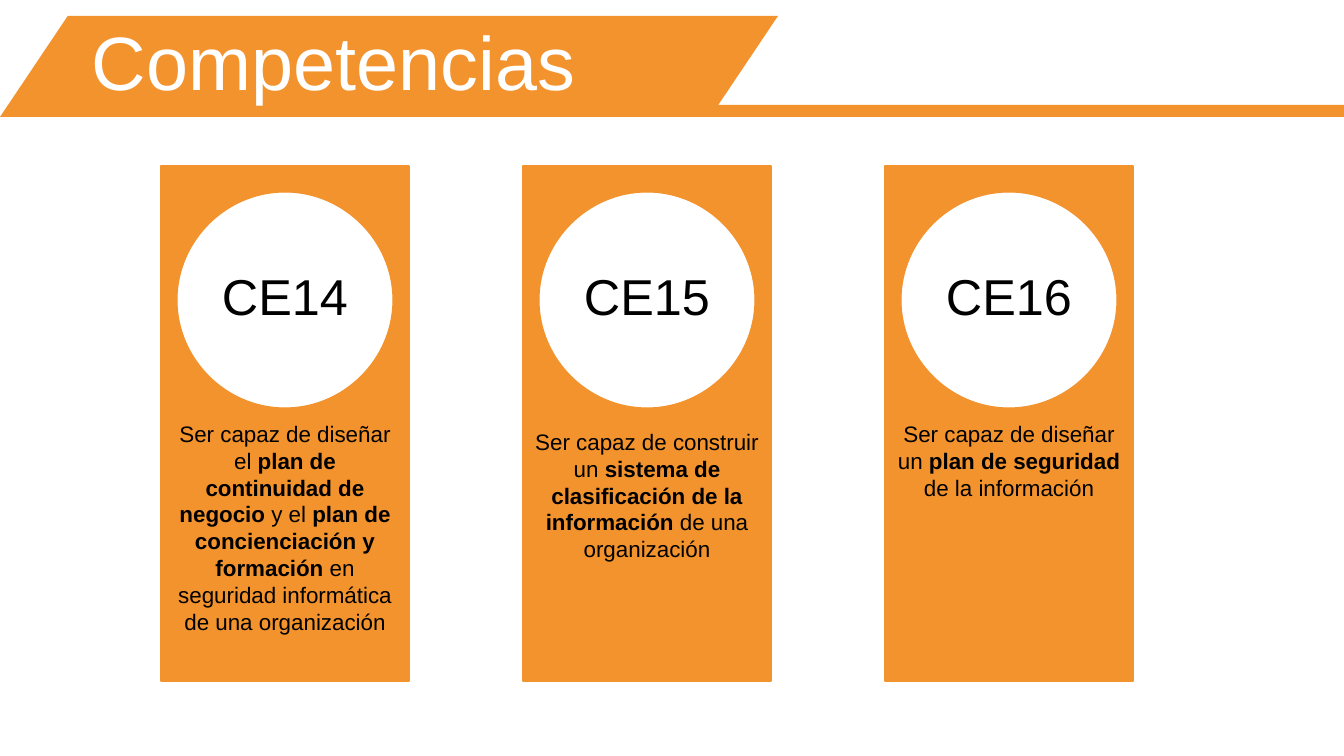
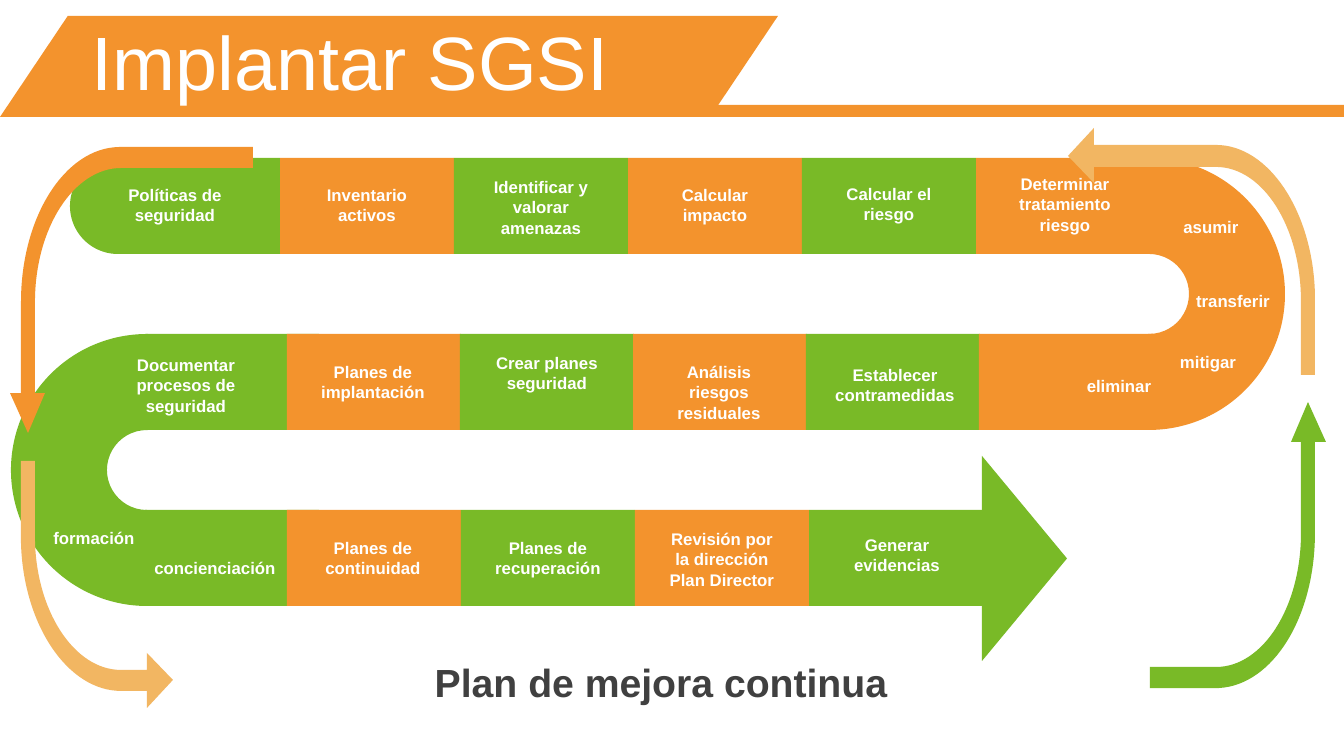
from itertools import cycle

from lxml.etree import SubElement
from pptx import Presentation
from pptx.dml.color import RGBColor
from pptx.enum.shapes import MSO_SHAPE
from pptx.enum.text import MSO_ANCHOR, PP_ALIGN
from pptx.oxml.ns import qn
from pptx.util import Emu, Pt

EMU_PER_PX = 914400 / 100.8
ORANGE, GREEN, SAND = "F3932D", "79BA27", "F2B662"
WHITE, BLACK, DARK = "FFFFFF", "000000", "404040"


def px(length):
    """Turn px into EMU."""
    return Emu(round(length * EMU_PER_PX))


def color(code):
    """Turn a hex string into a colour."""
    return RGBColor.from_string(code)


def apply(target, values):
    """Set every attribute named in a dict."""
    for name, value in values.items():
        setattr(target, name, value)


def circle(x, y, radius):
    """Return a circle as a start point and four curves."""
    pull = round(radius * 0.55)
    left, top, right, bottom = x - radius, y - radius, x + radius, y + radius
    return [(x, top),
            (x - pull, top, left, y - pull, left, y),
            (left, y + pull, x - pull, bottom, x, bottom),
            (x + pull, bottom, right, y + pull, right, y),
            (right, y - pull, x + pull, top, x, top)]


def bend_lines(shape, contours):
    """Join the three segments of each six-number step into one Bezier curve."""
    segments = iter(list(shape.element.iter(qn("a:lnTo"))))
    for contour in contours:
        for step in contour[1:]:
            segment = next(segments)
            if len(step) == 6:
                curve = SubElement(segment.getparent(), qn("a:cubicBezTo"))
                segment.addprevious(curve)
                for control in (segment, next(segments), next(segments)):
                    curve.append(control[0])
                    control.getparent().remove(control)


class Deck:
    """Hold the shared style and the current slide."""

    def __init__(self):
        """Start an empty widescreen presentation."""
        self.presentation = Presentation()
        apply(self.presentation, {"slide_width": px(1344), "slide_height": px(756)})
        self.slide = None

    def add_slide(self, title):
        """Add a slide with the title band."""
        self.slide = self.presentation.slides.add_slide(self.presentation.slide_layouts[6])
        self.shape(MSO_SHAPE.RECTANGLE, 672, 105, 672, 12, ORANGE)
        self.shape(MSO_SHAPE.PARALLELOGRAM, 0, 16, 778, 101, ORANGE, adjustments=[0.671])
        self.text(title, 82, 14, 1234, 92, 54, WHITE, align=PP_ALIGN.LEFT, anchor=MSO_ANCHOR.MIDDLE)

    def paint(self, shape, fill, outlined=False):
        """Give a shape its flat fill and hairline or no line."""
        shape.shadow.inherit = False
        shape.fill.solid()
        shape.fill.fore_color.rgb = color(fill)
        if outlined:
            shape.line.color.rgb = color(fill)
            shape.line.width = Pt(0)
        else:
            shape.line.fill.background()

    def shape(self, kind, left, top, width, height, fill, rotation=0, adjustments=()):
        """Add a preset shape."""
        shape = self.slide.shapes.add_shape(kind, px(left), px(top), px(width), px(height))
        shape.rotation = rotation
        for index, value in enumerate(adjustments):
            shape.adjustments[index] = value
        self.paint(shape, fill)

    def outline(self, contours, fill, outlined=False):
        """Add a freeform made of closed contours of lines and curves."""
        builder = None
        for contour in contours:
            start, *rest = [(px(step[index]), px(step[index + 1]))
                            for step in contour for index in range(0, len(step), 2)]
            if builder is None:
                builder = self.slide.shapes.build_freeform(*start, scale=1.0)
            else:
                builder.move_to(*start)
            builder.add_line_segments(rest, close=True)
        shape = builder.convert_to_shape()
        bend_lines(shape, contours)
        self.paint(shape, fill, outlined)

    def text(self, content, left, top, width, height, size, ink, bold=False,
             align=PP_ALIGN.CENTER, anchor=MSO_ANCHOR.TOP):
        """Add a text box in which ** switches bold on and off."""
        box = self.slide.shapes.add_textbox(px(left), px(top), px(width), px(height))
        frame = box.text_frame
        apply(frame, {"word_wrap": True, "vertical_anchor": anchor})
        if anchor == MSO_ANCHOR.MIDDLE:
            apply(frame, {"margin_top": 0, "margin_bottom": 0})
        for index, line in enumerate(content.split("\n")):
            paragraph = frame.add_paragraph() if index else frame.paragraphs[0]
            apply(paragraph, {"alignment": align, "line_spacing": Pt(size * 1.2)})
            for part, words in enumerate(line.split("**")):
                if words:
                    run = paragraph.add_run()
                    run.text = words
                    apply(run.font, {"name": "Arial", "size": Pt(size), "bold": bold or part % 2 == 1})
                    run.font.color.rgb = color(ink)

    def label(self, content, left, top, width=132):
        """Add a step label."""
        self.text(content, left, top, width, 50, 12, WHITE, bold=True)

    def card(self, left, code, description, top, height):
        """Add a competence card with a round window."""
        frame = [(left, 166), (left + 248, 166), (left + 248, 681), (left, 681)]
        self.outline([circle(left + 124, 300, 108), frame], ORANGE, outlined=True)
        self.text(code, left, 260, 248, 61, 36, BLACK)
        self.text(description, left, top, 248, height, 16, BLACK)

    def row(self, left, top, step, count):
        """Add a row of steps in alternating colours."""
        for index, fill in zip(range(count), cycle((ORANGE, GREEN))):
            self.shape(MSO_SHAPE.RECTANGLE, left + step * index, top, 174, 96, fill)


CARDS = [
    ("CE14", "Ser capaz de diseñar el **plan de continuidad de negocio **y el "
             "**plan de concienciación y formación** en seguridad informática de una organización", 415, 228),
    ("CE15", "Ser capaz de construir un **sistema de clasificación de la información **de una organización",
     423, 146),
    ("CE16", "Ser capaz de diseñar un **plan de seguridad **de la información", 415, 92),
]

ROWS = [(280, 158, 174, 5), (287, 334, 173, 5), (287, 510, 174, 4)]

LABELS = [
    ("Políticas de seguridad", 109, 180),
    ("Inventario activos", 301, 180),
    ("Identificar y valorar amenazas", 475, 172),
    ("Calcular impacto", 649, 180),
    ("Calcular el riesgo", 823, 179),
    ("Determinar tratamiento riesgo", 999, 169),
    ("asumir", 1145, 212),
    ("transferir", 1167, 286),
    ("mitigar", 1142, 347),
    ("eliminar", 1053, 371),
    ("Establecer contramedidas", 822, 360, 146),
    ("Análisis riesgos residuales", 653, 357),
    ("Crear planes seguridad", 481, 348),
    ("Planes de implantación", 307, 357),
    ("Documentar procesos de seguridad", 120, 350),
    ("formación", 28, 523),
    ("concienciación", 143, 553, 144),
    ("Planes de continuidad", 307, 533),
    ("Planes de recuperación", 482, 533),
    ("Generar evidencias", 831, 530),
    ("Revisión por la dirección\nPlan Director", 656, 524),
]

ARROWS = [
    (GREEN, [(1308, 402), (1326, 442), (1315, 442), (1315, 533), (1315, 617, 1273, 685, 1219, 688),
             (1150, 688), (1150, 667), (1216, 667), (1263, 667, 1301, 607, 1301, 533),
             (1301, 442), (1291, 442)]),
    (ORANGE, [(119, 147), (253, 147), (253, 168), (121, 168), (74, 168, 35, 228, 35, 302), (35, 393),
              (45, 393), (28, 433), (10, 393), (21, 393), (21, 302), (21, 217, 65, 148, 119, 147)]),
    (SAND, [(1094, 128), (1094, 145), (1216, 145), (1269, 145, 1313, 212, 1315, 294), (1315, 375),
            (1301, 375), (1301, 301), (1301, 227, 1263, 167, 1216, 167), (1094, 167), (1094, 183),
            (1068, 156)]),
    (SAND, [(21, 461), (35, 461), (35, 536), (35, 610, 74, 670, 121, 670), (147, 670), (147, 653),
            (173, 680), (147, 708), (147, 691), (121, 691), (68, 691, 23, 625, 21, 542)]),
]


def main():
    """Build both slides and save them."""
    deck = Deck()
    deck.add_slide("Competencias")
    for index, card in enumerate(CARDS):
        deck.card(161 + 362 * index, *card)

    deck.add_slide("Implantar SGSI")
    bend = [108, 0.677, 0.353]
    for top in (334, 510):
        deck.shape(MSO_SHAPE.RECTANGLE, 145, top, 174, 96, GREEN)
    deck.shape(MSO_SHAPE.BLOCK_ARC, 11, 334, 272, 272, GREEN, 270, bend)
    deck.shape(MSO_SHAPE.ROUND_2_SAME_RECTANGLE, 127, 101, 96, 210, GREEN, 270, [0.5, 0])
    for row in ROWS:
        deck.row(*row)
    deck.shape(MSO_SHAPE.BLOCK_ARC, 1013, 158, 272, 272, ORANGE, 90, bend)
    deck.shape(MSO_SHAPE.ISOSCELES_TRIANGLE, 922, 516, 205, 85, GREEN, 90)
    for label in LABELS:
        deck.label(*label)
    deck.text("Plan de mejora continua", 172, 653, 978, 57, 28, DARK, bold=True)
    for fill, steps in ARROWS:
        deck.outline([steps], fill)
    deck.presentation.save("out.pptx")


if __name__ == "__main__":
    main()
